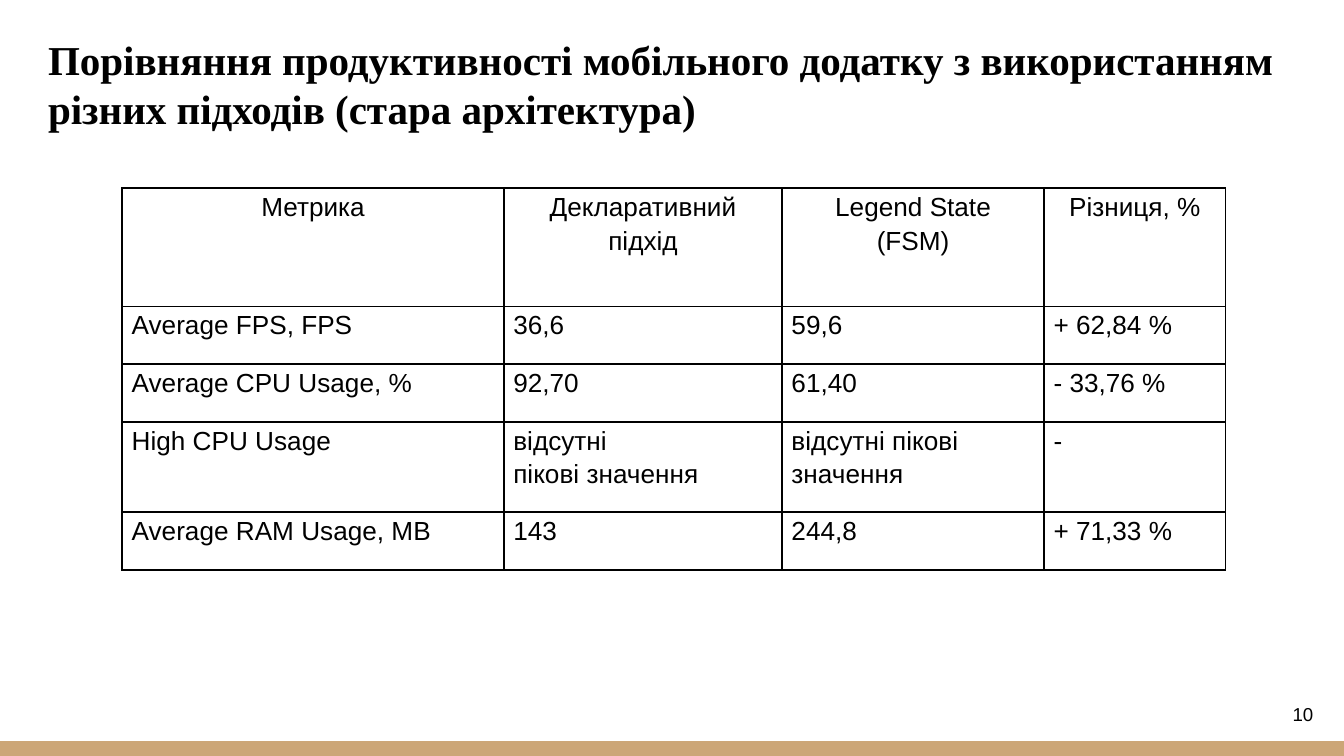
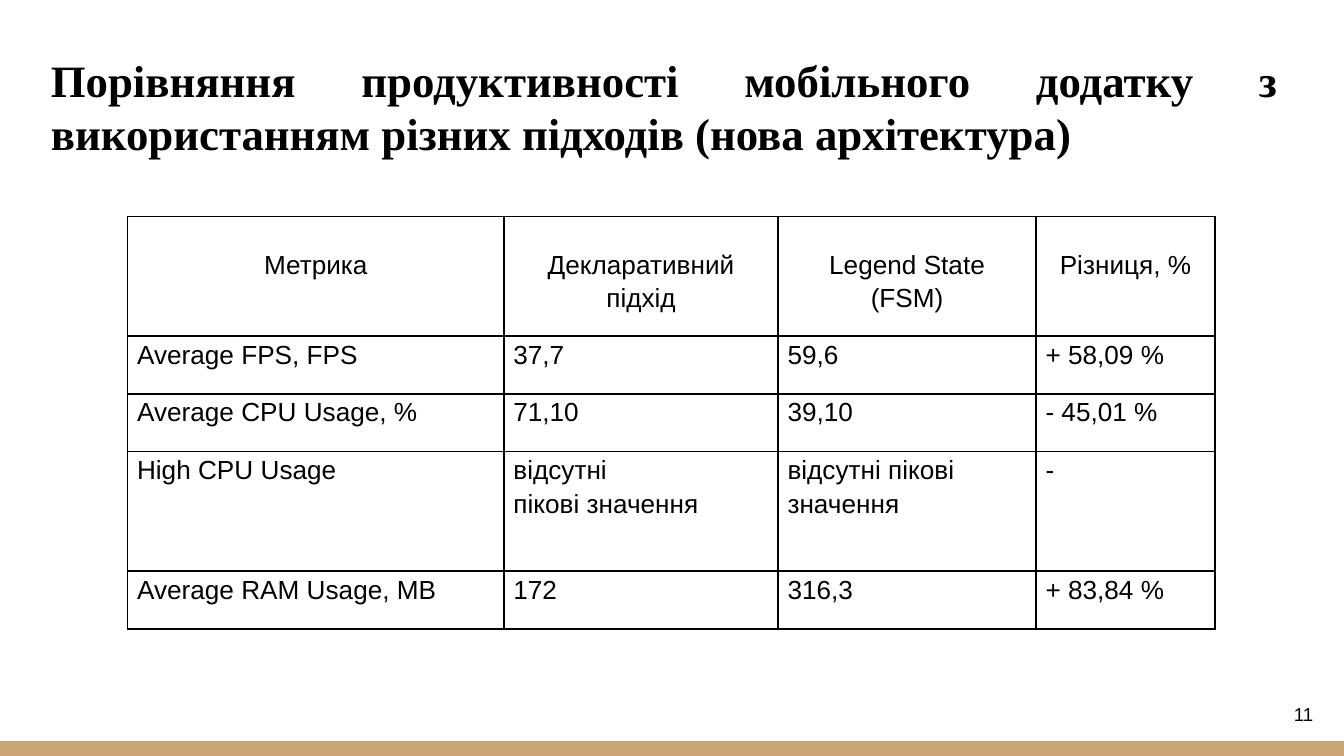
from pptx import Presentation
from pptx import util as u
from pptx.dml.color import RGBColor
from pptx.enum import shapes, text
from pptx.oxml import parse_xml
from pptx.oxml.ns import nsdecls

# Content
HEAD = ("Метрика", "Декларативний підхід", "Legend State\n(FSM)", "Різниця, %")
NAMES = ("Average FPS, FPS", "Average CPU Usage, %", "High CPU Usage", "Average RAM Usage, MB")
PEAKS = ("відсутні\nпікові значення", "відсутні пікові значення", "-")
TITLE = "Порівняння продуктивності мобільного додатку з використанням різних підходів ({} архітектура)"

PAGES = [
    dict(num=10, kind="стара", size=22, box=(0.26, 0.19, 9.57, 0.9), align="LEFT",
         spot=(0.91, 1.4), cols=(2.84, 2.07, 1.95, 1.35), rows=(0.88, 0.43, 0.43, 0.67, 0.43),
         drop=0,
         vals=[("36,6", "59,6", "+ 62,84 %"), ("92,70", "61,40", "- 33,76 %"),
               PEAKS, ("143", "244,8", "+ 71,33 %")]),
    dict(num=11, kind="нова", size=24, box=(0.28, 0.13, 9.32, 1.16), align="JUSTIFY",
         spot=(0.95, 1.61), cols=(2.8, 2.04, 1.92, 1.33), rows=(0.89, 0.43, 0.43, 0.89, 0.43),
         drop=0.22,
         vals=[("37,7", "59,6", "+ 58,09 %"), ("71,10", "39,10", "- 45,01 %"),
               PEAKS, ("172", "316,3", "+ 83,84 %")]),
]


class Theme:
    ink = RGBColor(0, 0, 0)
    band = RGBColor(0xCC, 0xA6, 0x77)
    serif, sans = "Times New Roman", "Arial"
    cell, foot = 14, 10
    pad, side = 0.1, 0.07
    lead, rule = 1.15, 1


# Widescreen page, 16 to 9
WIDE = 10
HIGH = WIDE * 9 / 16
BAND = 0.11
ALIGN = text.PP_ALIGN


def style(para, face, size, align, bold=False):
    para.alignment = align
    font = para.font
    font.name, font.size, font.bold = face, u.Pt(size), bold
    font.color.rgb = Theme.ink


def label(slide, words, box, anchor, *look):
    frame = slide.shapes.add_textbox(*map(u.Inches, box)).text_frame
    frame.word_wrap = True
    frame.vertical_anchor = anchor
    frame.margin_left = frame.margin_right = u.Inches(Theme.pad)
    frame.margin_top = frame.margin_bottom = u.Inches(Theme.pad)
    frame.text = words
    style(frame.paragraphs[0], *look)


def edge(cell):
    """Rule all four sides of a cell."""
    props = cell._tc.get_or_add_tcPr()
    for spot, side in enumerate("LRTB"):
        props.insert(spot, parse_xml(
            f'<a:ln{side} {nsdecls("a")} w="{u.Pt(Theme.rule)}"><a:solidFill>'
            f'<a:srgbClr val="{Theme.ink}"/></a:solidFill></a:ln{side}>'))


def grid(slide, page):
    data = [HEAD] + [(name, *vals) for name, vals in zip(NAMES, page["vals"])]
    cols, rows = page["cols"], page["rows"]
    area = (*page["spot"], sum(cols), sum(rows))
    table = slide.shapes.add_table(len(rows), len(cols), *map(u.Inches, area)).table
    table.first_row = table.horz_banding = False
    for col, wide in zip(table.columns, cols):
        col.width = u.Inches(wide)
    for r, (row, high) in enumerate(zip(table.rows, rows)):
        row.height = u.Inches(high)
        for cell, words in zip(row.cells, data[r]):
            cell.text = words
            cell.fill.background()
            cell.margin_left = cell.margin_right = u.Inches(Theme.side)
            cell.margin_top = u.Inches(0 if r else page["drop"])
            cell.margin_bottom = 0
            edge(cell)
            for para in cell.text_frame.paragraphs:
                style(para, Theme.sans, Theme.cell, ALIGN.LEFT if r else ALIGN.CENTER)
                para.line_spacing = Theme.lead


def base(slide, num):
    """Bottom band and page number."""
    area = (0, HIGH - BAND, WIDE, BAND)
    band = slide.shapes.add_shape(shapes.MSO_SHAPE.RECTANGLE, *map(u.Inches, area))
    band.shadow.inherit = False
    band.fill.solid()
    band.fill.fore_color.rgb = Theme.band
    band.line.fill.background()
    label(slide, str(num), (9.27, 5.1, 0.6, 0.43), text.MSO_ANCHOR.MIDDLE,
          Theme.sans, Theme.foot, ALIGN.RIGHT)


def main():
    deck = Presentation()
    deck.slide_width, deck.slide_height = u.Inches(WIDE), u.Inches(HIGH)
    for page in PAGES:
        slide = deck.slides.add_slide(deck.slide_layouts[6])
        base(slide, page["num"])
        label(slide, TITLE.format(page["kind"]), page["box"], text.MSO_ANCHOR.BOTTOM,
              Theme.serif, page["size"], ALIGN[page["align"]], True)
        grid(slide, page)
    deck.save("out.pptx")


if __name__ == "__main__":
    main()
